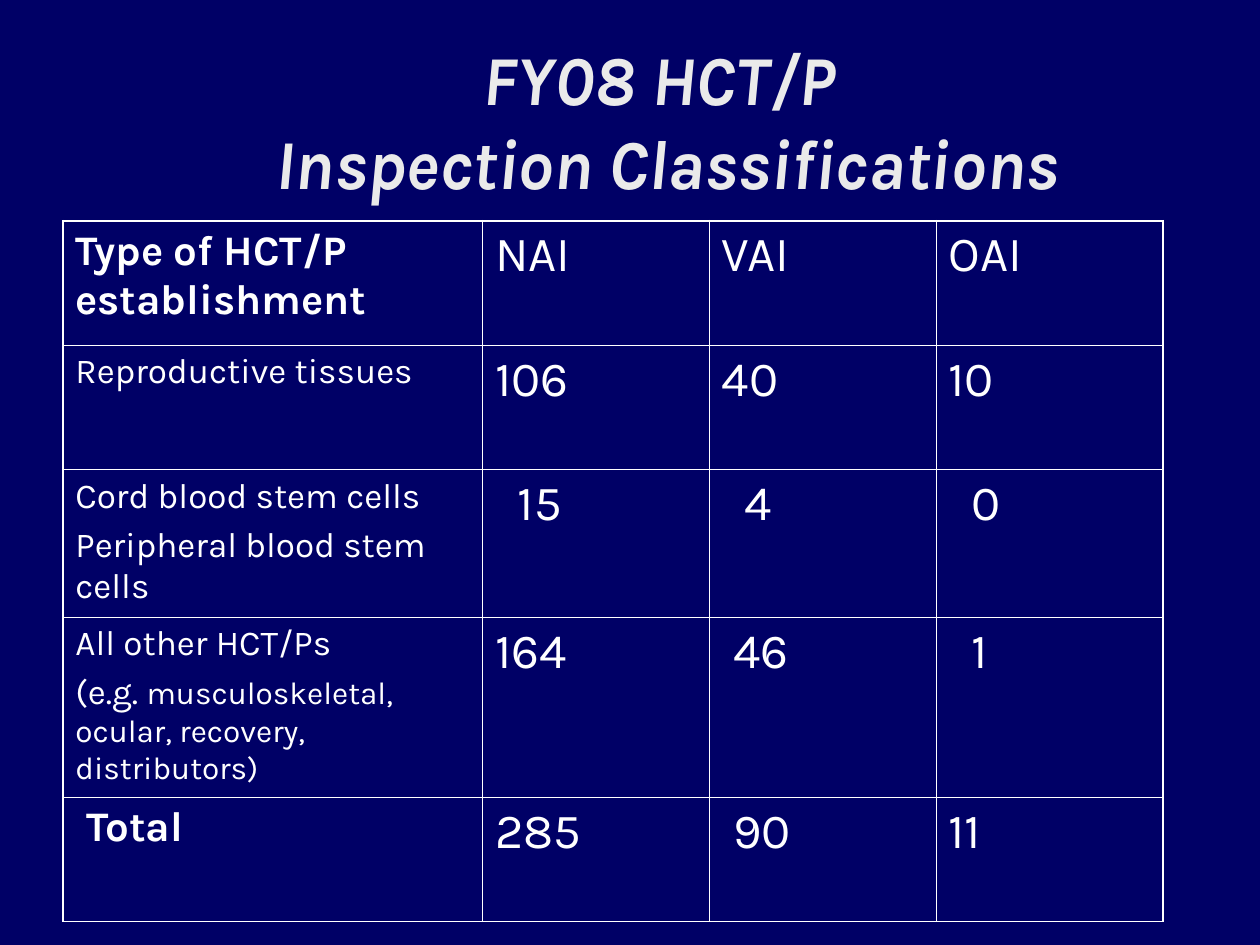
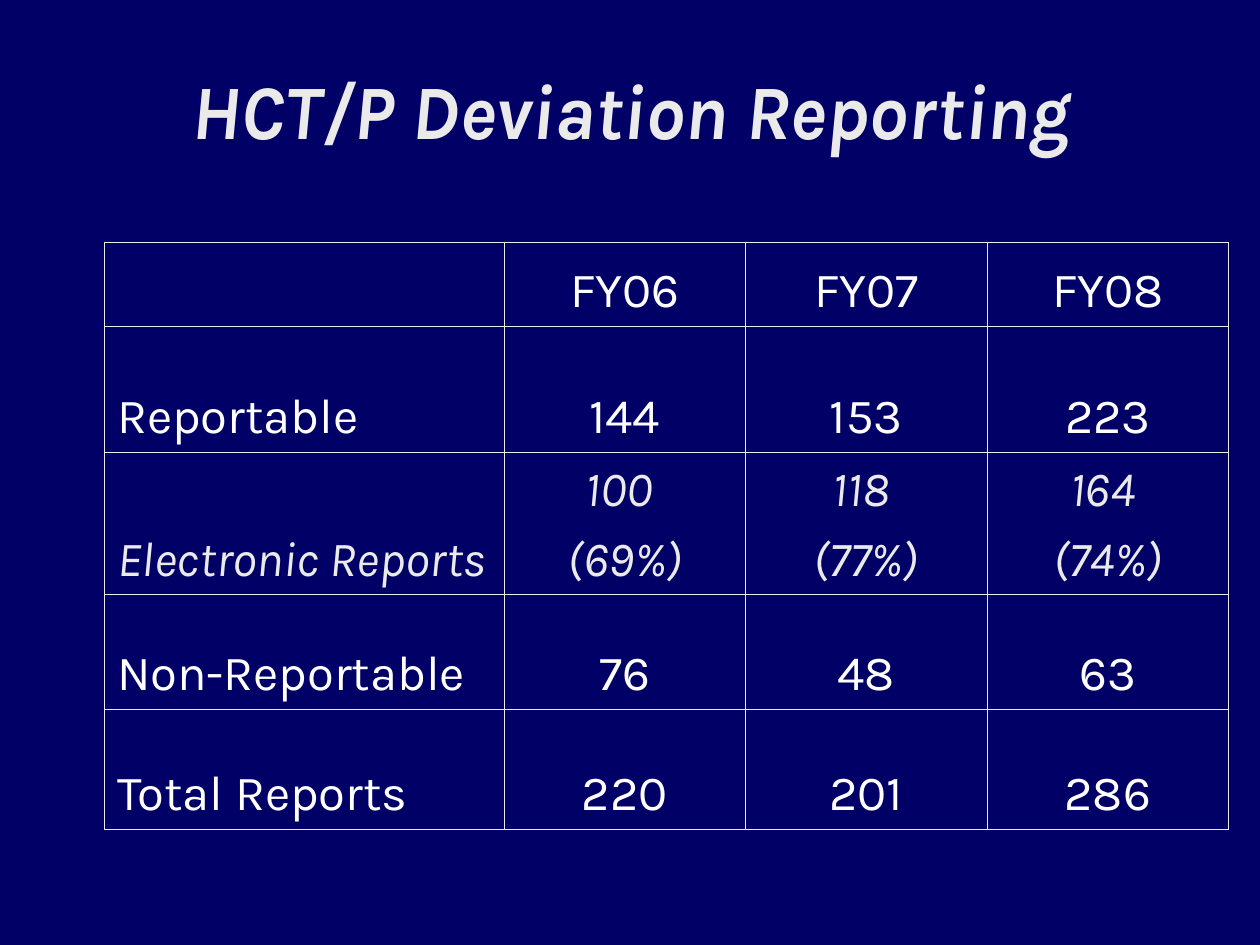
"""Build two slides on HCT/P inspections and deviation reports."""
from dataclasses import dataclass
from typing import NamedTuple

from lxml import etree
from pptx import Presentation
from pptx.dml.color import RGBColor
from pptx.enum.text import MSO_ANCHOR, MSO_AUTO_SIZE, PP_ALIGN
from pptx.oxml.ns import qn
from pptx.slide import Slide
from pptx.table import _Cell
from pptx.text.text import TextFrame, _Paragraph
from pptx.util import Cm, Pt

TOP, MIDDLE, BOTTOM = MSO_ANCHOR.TOP, MSO_ANCHOR.MIDDLE, MSO_ANCHOR.BOTTOM
LEFT, CENTER = PP_ALIGN.LEFT, PP_ALIGN.CENTER
NO_FIT = MSO_AUTO_SIZE.NONE

COLORS = {"navy": "000066", "white": "FFFFFF", "pale": "EAEAEA"}
FONT = "Karla"
INSET, SPACE = 0.25, 0.23
THIN, THICK = 0.45, 1.08


class Box(NamedTuple):
    left: float
    top: float
    width: float
    height: float


class Run(NamedTuple):
    text: str
    size: int = 28
    bold: bool = False
    slant: bool = False
    color: str = "white"


@dataclass
class Entry:
    lines: list[list[Run]]
    pad: int = 0
    gap: float = 7


@dataclass
class Heading:
    box: Box
    lines: list[str]
    size: int
    anchor: MSO_ANCHOR
    inset: float = 0.13


@dataclass
class Grid:
    left: float
    top: float
    cols: list[float]
    rows: list[float]
    entries: list[list[Entry]]
    line: str
    edge: float
    anchor: MSO_ANCHOR
    align: PP_ALIGN


def add_run(para: _Paragraph, item: Run) -> None:
    run = para.add_run()
    run.text = item.text
    font = run.font
    font.name, font.size = FONT, Pt(item.size)
    font.bold, font.italic = item.bold, item.slant
    font.color.rgb = RGBColor.from_string(COLORS[item.color])


def fill_text(frame: TextFrame, entry: Entry, align: PP_ALIGN) -> None:
    for i, line in enumerate(entry.lines):
        para = frame.add_paragraph() if i else frame.paragraphs[0]
        para.alignment = align
        para.space_before = Pt(entry.gap if i else 0)
        for item in line:
            add_run(para, item)


def draw_title(slide: Slide, head: Heading) -> None:
    shape = slide.shapes.title
    shape.left, shape.top, shape.width, shape.height = map(Cm, head.box)
    frame = shape.text_frame
    frame.word_wrap, frame.auto_size = True, NO_FIT
    frame.vertical_anchor = head.anchor
    frame.margin_top = Cm(head.inset)
    para = frame.paragraphs[0]
    para.alignment = CENTER
    for i, text in enumerate(head.lines):
        if i:
            para.add_line_break()
        add_run(para, Run(text, head.size, True, True, "pale"))


def set_edges(cell: _Cell, color: str, widths: dict[str, float]) -> None:
    props = cell._tc.get_or_add_tcPr()
    for i, (side, width) in enumerate(widths.items()):
        line = etree.Element(qn(f"a:ln{side}"), w=str(int(Pt(width))))
        fill = etree.SubElement(line, qn("a:solidFill"))
        etree.SubElement(fill, qn("a:srgbClr"), val=COLORS[color])
        props.insert(i, line)


def draw_grid(slide: Slide, grid: Grid) -> None:
    high, wide = len(grid.rows), len(grid.cols)
    box = Box(grid.left, grid.top, sum(grid.cols), sum(grid.rows))
    table = slide.shapes.add_table(high, wide, *map(Cm, box)).table
    table.first_row = table.horz_banding = False
    for col, width in zip(table.columns, grid.cols):
        col.width = Cm(width)
    for row, height in zip(table.rows, grid.rows):
        row.height = Cm(height)
    for r, entries in enumerate(grid.entries):
        for c, entry in enumerate(entries):
            cell = table.cell(r, c)
            cell.fill.background()
            cell.vertical_anchor = grid.anchor
            cell.margin_left = Cm(INSET + SPACE * entry.pad)
            fill_text(cell.text_frame, entry, grid.align if c else LEFT)
            outer = {"L": c == 0, "R": c == wide - 1,
                     "T": r == 0, "B": r == high - 1}
            set_edges(cell, grid.line,
                      {s: grid.edge if out else THIN for s, out in outer.items()})


def plain(text: str, pad: int = 0, size: int = 28, bold: bool = False) -> Entry:
    return Entry([[Run(text, size, bold)]], pad)


def slant(*texts: str) -> Entry:
    return Entry([[Run(text, slant=True, color="pale")] for text in texts])


CLASSES = Grid(
    1.27, 4.45, [8.46] + [4.57] * 3, [2.51, 2.51, 2.97, 3.63, 2.51],
    [
        [plain("Type of HCT/P establishment", 0, 24, True),
         plain("NAI"), plain("VAI"), plain("OAI")],
        [plain("Reproductive tissues", 0, 20),
         plain("106"), plain("40"), plain("10")],
        [Entry([[Run("Cord blood stem cells", 20)],
                [Run("Peripheral blood stem cells", 20)]], gap=5),
         plain("15", 2), plain("4", 2), plain("0", 2)],
        [Entry([[Run("All other HCT/Ps", 20)],
                [Run("(e.g. ", 20),
                 Run("musculoskeletal, ocular, recovery, distributors)", 18)]],
               gap=4.5),
         plain("164"), plain("46", 1), plain("1", 2)],
        [plain("Total", 1, 24, True),
         plain("285"), plain("90", 1), plain("11")],
    ],
    "white", THICK, TOP, LEFT)

REPORTS = Grid(
    2.11, 4.88, [8.05] + [4.87] * 3, [1.7, 2.54, 2.87, 2.31, 2.41],
    [
        [Entry([[]]), plain("FY06"), plain("FY07"), plain("FY08")],
        [plain(t) for t in ("Reportable", "144", "153", "223")],
        [slant("Electronic Reports"), slant("100 ", "(69%)"),
         slant("118 ", "(77%)"), slant("164 ", "(74%)")],
        [plain(t) for t in ("Non-Reportable", "76", "48", "63")],
        [plain(t) for t in ("Total Reports", "220", "201", "286")],
    ],
    "pale", THIN, BOTTOM, CENTER)

PAGES = [
    (Heading(Box(2.97, 0, 20.96, 4.83),
             ["FY08 HCT/P ", "Inspection Classifications"], 40, MIDDLE), CLASSES),
    (Heading(Box(2.11, 1.27, 21.59, 3.38),
             ["HCT/P Deviation Reporting "], 44, TOP, 0), REPORTS),
]


def main() -> None:
    deck = Presentation()
    deck.slide_width, deck.slide_height = Cm(25.4), Cm(19.05)
    back = deck.slide_master.background.fill
    back.solid()
    back.fore_color.rgb = RGBColor.from_string(COLORS["navy"])
    for head, grid in PAGES:
        slide = deck.slides.add_slide(deck.slide_layouts[5])
        draw_title(slide, head)
        draw_grid(slide, grid)
    deck.save("out.pptx")


if __name__ == "__main__":
    main()
